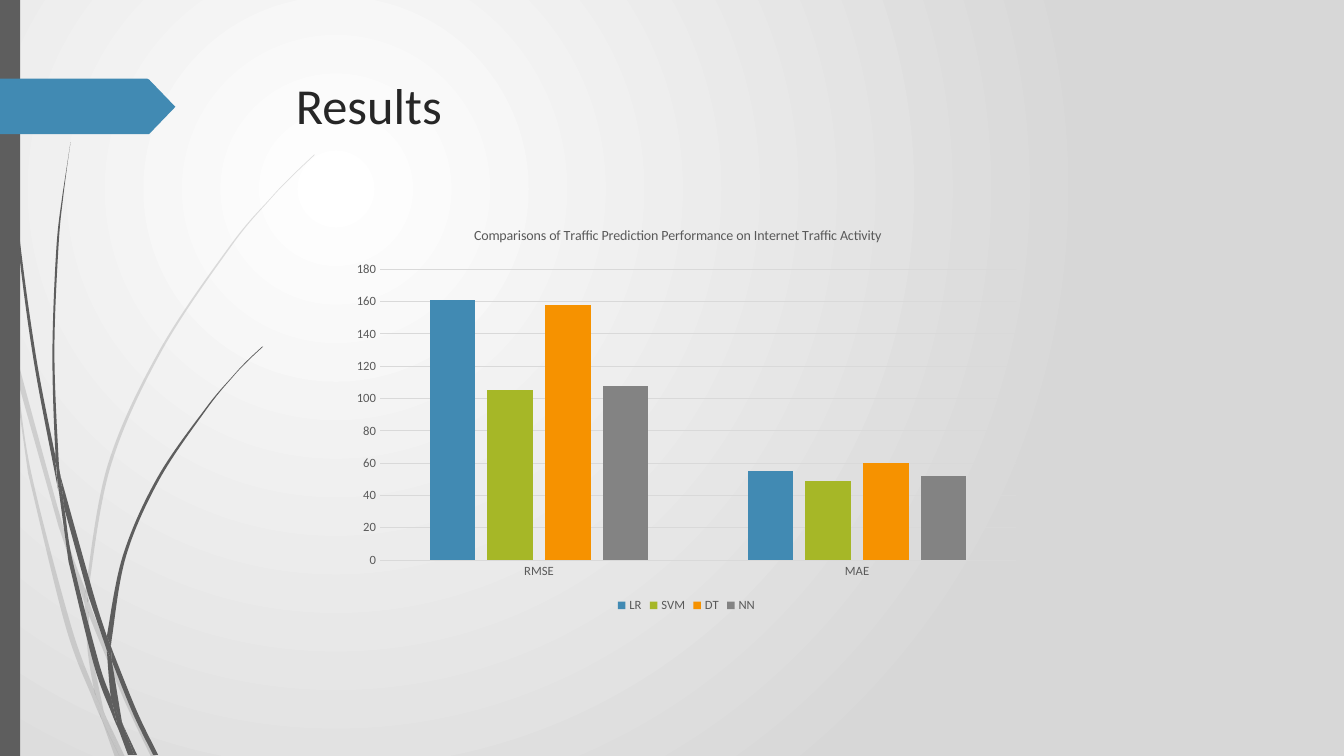
"""Build the Results slide with its grass motif and column chart."""
from dataclasses import dataclass
from lxml.etree import SubElement
from pptx import Presentation
from pptx.chart.data import CategoryChartData as Data
from pptx.dml.color import RGBColor as Rgb
from pptx.enum.chart import XL_CHART_TYPE as Kind, XL_LEGEND_POSITION as Side
from pptx.enum.chart import XL_TICK_MARK as Tick
from pptx.enum.shapes import MSO_SHAPE as Form
from pptx.enum.text import MSO_ANCHOR as Anchor, PP_ALIGN as Align
from pptx.oxml.ns import qn
from pptx.util import Pt


@dataclass(frozen=True)
class Theme:
    font: str = "Calibri"
    white: str = "FFFFFF"
    edge: str = "D7D7D7"
    stem: str = "5E5E5E"
    blue: str = "418AB3"
    ink: str = "262626"
    label: str = "595959"
    grid: str = "D9D9D9"
    bars: tuple = ("418AB3", "A6B727", "F69200", "838383")
    head: int = 36
    mid: int = 10
    small: int = 9
    unit: float = 0.72
    fine: int = 10


def bend(line, ctrl):
    """Turn a straight path segment into a cubic curve."""
    line.tag = qn("a:cubicBezTo")
    for n, (x, y) in enumerate(ctrl):
        dot = SubElement(line, qn("a:pt"), x=str(round(x)), y=str(round(y)))
        line.insert(n, dot)


def place(host, spot, size, **box):
    """Set a manual layout, in points, on a title or plot area."""
    for old in host.findall(qn("c:layout")):
        host.remove(old)
    lay = SubElement(host, qn("c:layout"))
    man = SubElement(lay, qn("c:manualLayout"))
    if "w" in box:
        SubElement(man, qn("c:layoutTarget"), val="inner")
    for key in "xy":
        SubElement(man, qn(f"c:{key}Mode"), val="edge")
    for key, val in box.items():
        full = size[key in "yh"]
        SubElement(man, qn(f"c:{key}"), val=f"{val / full:.4f}")
    host.insert(spot, lay)


class Deck:
    """Hold the theme and the current slide."""

    def __init__(self, theme):
        self.look = theme
        self.file = Presentation()
        self.file.slide_width, self.file.slide_height = Pt(960), Pt(540)
        self.page = self.file.slides.add_slide(self.file.slide_layouts[5])

    def style(self, font, size, tint):
        font.name, font.size, font.bold = self.look.font, Pt(size), False
        font.color.rgb = Rgb.from_string(tint)

    def paint(self, shape, tint, alpha=100):
        shape.shadow.inherit = False
        shape.fill.solid()
        shape.fill.fore_color.rgb = Rgb.from_string(tint)
        shape.line.fill.background()
        if alpha < 100:
            tone = shape._element.spPr.find(".//" + qn("a:srgbClr"))
            SubElement(tone, qn("a:alpha"), val=str(alpha * 1000))

    def glow(self):
        fill = self.page.background.fill
        fill.gradient()
        for stop, tint, at in zip(fill.gradient_stops, (self.look.white, self.look.edge), (0, 1)):
            stop.color.rgb, stop.position = Rgb.from_string(tint), at
        lin = self.page._element.find(".//" + qn("a:lin"))
        grad = lin.getparent()
        grad.remove(lin)
        ring = SubElement(grad, qn("a:path"), path="circle")
        SubElement(ring, qn("a:fillToRect"), l="50000", t="50000", r="100000", b="100000")

    def trace(self, dots, tint, alpha=100):
        fine = self.look.fine
        dots = [(x * fine, y * fine) for x, y in dots]
        pen = self.page.shapes.build_freeform(*dots[0], scale=Pt(self.look.unit) / fine)
        pen.add_line_segments(dots[1:], close=True)
        shape = pen.convert_to_shape()
        self.paint(shape, tint, alpha)
        return shape

    def blade(self, text, alpha=100):
        sides = [[tuple(map(int, knot.split(","))) for knot in side.split()]
                 for side in text.split("/")]
        dots = sum(sides, [])
        shape = self.trace(dots, self.look.stem, alpha)
        lines = list(shape._element.iter(qn("a:lnTo")))
        fine = self.look.fine
        left, top = (min(axis) for axis in zip(*dots))
        spot = 0
        for side in sides:
            ends = [side[0], *side, side[-1]]
            for i in range(len(side) - 1):
                a, b, c, d = (((x - left) * fine, (y - top) * fine) for x, y in ends[i:i + 4])
                one = [q + (r - p) / 6 for p, q, r in zip(a, b, c)]
                two = [q - (r - p) / 6 for p, q, r in zip(b, c, d)]
                bend(lines[spot + i], (one, two))
            spot += len(side)

    def block(self, x, y, w, h, tint):
        self.paint(self.page.shapes.add_shape(Form.RECTANGLE, Pt(x), Pt(y), Pt(w), Pt(h)), tint)

    def title(self, text, x, y, w, h):
        head = self.page.shapes.title
        head.left, head.top, head.width, head.height = Pt(x), Pt(y), Pt(w), Pt(h)
        frame = head.text_frame
        frame.word_wrap, frame.vertical_anchor = True, Anchor.TOP
        para = frame.paragraphs[0]
        para.alignment = Align.LEFT
        run = para.add_run()
        run.text = text
        self.style(run.font, self.look.head, self.look.ink)

    def chart(self, text, cats, rows, x, y, w, h):
        look = self.look
        data = Data()
        data.categories = cats
        for name, vals in rows.items():
            data.add_series(name, vals)
        chart = self.page.shapes.add_chart(
            Kind.COLUMN_CLUSTERED, Pt(x), Pt(y), Pt(w), Pt(h), data).chart
        self.style(chart.font, look.small, look.label)
        run = chart.chart_title.text_frame.paragraphs[0].add_run()
        run.text = text
        self.style(run.font, look.mid, look.label)
        place(chart.chart_title._element, 1, (w, h), x=92, y=18)
        place(chart._chartSpace.chart.plotArea, 0, (w, h), x=26.6, y=50.6, w=454.4, h=207.8)
        chart.has_legend = True
        chart.legend.position, chart.legend.include_in_layout = Side.BOTTOM, False
        self.style(chart.legend.font, look.small, look.label)
        plot = chart.plots[0]
        plot.gap_width, plot.overlap, plot.vary_by_categories = 219, -27, False
        for row, tint in zip(plot.series, look.bars):
            row.format.fill.solid()
            row.format.fill.fore_color.rgb = Rgb.from_string(tint)
        axes = chart.category_axis, chart.value_axis
        for axis in axes:
            axis.major_tick_mark = axis.minor_tick_mark = Tick.NONE
            self.style(axis.tick_labels.font, look.small, look.label)
        axes[1].format.line.fill.background()
        axes[1].minimum_scale, axes[1].maximum_scale, axes[1].major_unit = 0, 180, 20
        for line in (axes[0].format.line, axes[1].major_gridlines.format.line):
            line.width = Pt(0.75)
            line.color.rgb = Rgb.from_string(look.grid)


PALE = (
    "11,350 9,322 0,282 / 0,299 10,344 11,350",
    "58,522 84,599 / 85,586 62,520 14,345 / 17,376 58,522",
    "92,607 88,596 / 88,610 123,694 150,751 / 155,751 127,692 92,607",
    "119,751 124,751 / 105,711 119,751",
    "93,683 70,619 31,469 17,376 11,350 / 28,470 65,621 92,693 101,714 / 99,707 93,683",
    "84,599 87,646 93,683 96,692 105,711 / 103,706 91,646 88,610 88,608 84,599",
    "88,596 88,584 110,462 160,349 229,245 268,198 290,175 312,154 / "
    "312,153 289,175 268,197 228,244 158,348 107,461 85,584 85,586",
    "101,714 114,751 / 119,751 101,714",
    "88,608 88,610 / 88,596 85,586 / 84,599 88,608",
    "96,692 93,683 / 99,707 101,714 119,751 / 105,711 96,692",
)
DARK = (
    "3,0 4,48 7,110 17,233 33,355 56,477 57,481 / "
    "55,457 55,453 36,355 19,232 8,109 5,48 4,0",
    "88,592 106,645 / 106,633 106,631 93,590 60,472 / 64,505 88,592",
    "113,649 110,641 / 111,656 132,708 152,749 / 157,749 136,706 113,649",
    "110,691 98,657 72,556 64,505 57,477 / 68,557 93,659 111,708 117,722 / 116,717 110,691",
    "60,472 58,453 54,349 58,245 63,193 70,141 / 62,193 56,245 52,349 55,449 60,472",
    "133,749 136,749 / 122,719 133,749",
    "57,477 64,505 / 60,472 55,449 / 55,453 57,477",
    "111,633 125,552 158,476 205,406 231,374 245,359 261,344 / "
    "260,344 245,358 231,373 204,405 156,474 122,551 106,631 / 110,641 111,633",
    "117,722 127,749 / 131,749 117,722",
    "106,645 110,691 116,706 122,719 / 121,716 111,656 109,651 106,645",
    "106,645 109,651 111,656 / 110,641 106,631 / 106,633 106,645",
    "116,706 110,691 / 116,717 117,722 130,749 / 133,749 122,719 116,706",
)
TAG = ((174, 106), (148, 133), (146, 133), (0, 133), (0, 78), (146, 78), (148, 79))

deck = Deck(Theme())
deck.glow()
for text in PALE:
    deck.blade(text, 20)
for text in DARK:
    deck.blade(text)
deck.block(0, 0, 14.4, 540, deck.look.stem)
deck.trace(TAG, deck.look.blue)
deck.title("Results", 204.2, 49, 702, 100.8)
deck.chart(
    "Comparisons of Traffic Prediction Performance on Internet Traffic Activity",
    ("RMSE", "MAE"),
    {"LR": (161, 55), "SVM": (105, 49), "DT": (158, 60), "NN": (108, 52)},
    244.8, 141.8, 491, 298.8)
deck.file.save("out.pptx")
